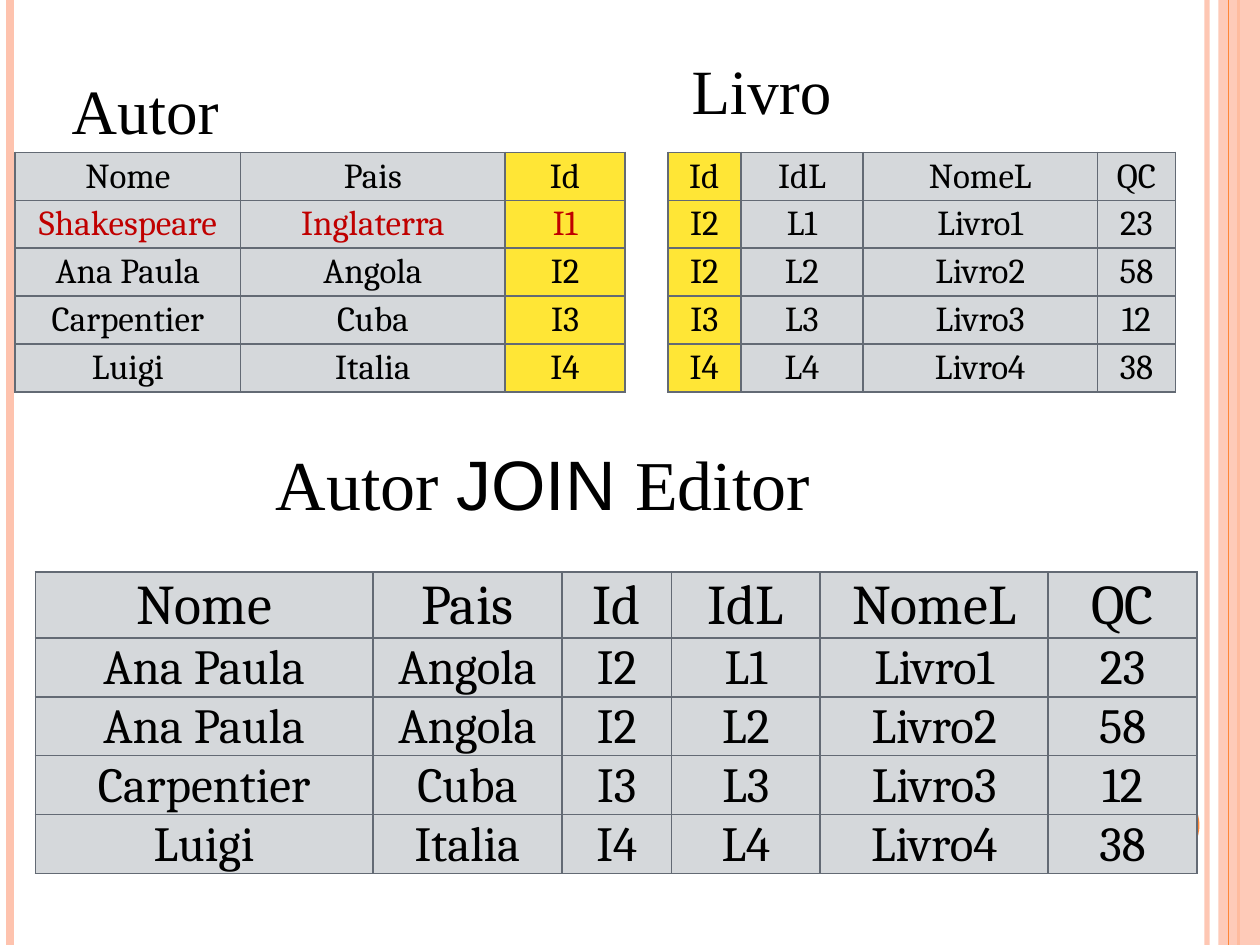
import lxml.etree
import pptx
import pptx.dml.color
import pptx.enum.shapes
import pptx.enum.text
import pptx.oxml.ns
import pptx.util

Inches = pptx.util.Inches
Pt = pptx.util.Pt
qn = pptx.oxml.ns.qn

COLORS = {
    "black": "000000",
    "red": "C00000",
    "gray": "D5D8DB",
    "yellow": "FFE636",
    "border": "636A74",
    "peach": "FEC3AE",
    "orange": "FE8637",
}

AUTHORS = [
    ("Nome", "Pais", "Id"),
    ("Shakespeare", "Inglaterra", "I1"),
    ("Ana Paula", "Angola", "I2"),
    ("Carpentier", "Cuba", "I3"),
    ("Luigi", "Italia", "I4"),
]
BOOKS = [
    ("Id", "IdL", "NomeL", "QC"),
    ("I2", "L1", "Livro1", "23"),
    ("I2", "L2", "Livro2", "58"),
    ("I3", "L3", "Livro3", "12"),
    ("I4", "L4", "Livro4", "38"),
]
JOINED = [AUTHORS[0] + BOOKS[0][1:]] + [
    author + book[1:] for book in BOOKS[1:] for author in AUTHORS[1:] if author[2] == book[0]
]


def color(name):
    return pptx.dml.color.RGBColor.from_string(COLORS[name])


def add_text(paragraph, text, size=20, font="Cambria", color_name="black"):
    run = paragraph.add_run()
    run.text = text
    run.font.size = Pt(size)
    run.font.name = font
    run.font.color.rgb = color(color_name)


def set_alpha(element, percent):
    """Make the solid colour inside the element partly transparent."""
    value = element.find(".//" + qn("a:srgbClr"))
    lxml.etree.SubElement(value, qn("a:alpha"), val=str(percent * 1000))


def add_borders(cell, width=1):
    properties = cell._tc.get_or_add_tcPr()
    for index, side in enumerate(("lnL", "lnR", "lnT", "lnB")):
        line = lxml.etree.Element(qn("a:" + side), w=str(Pt(width)))
        fill = lxml.etree.SubElement(line, qn("a:solidFill"))
        lxml.etree.SubElement(fill, qn("a:srgbClr"), val=COLORS["border"])
        properties.insert(index, line)


class SlideBuilder:
    heading_font = "Times New Roman"

    def __init__(self, slide):
        self.slide = slide

    def vertical_line(self, x, color_name, width, alpha=None):
        line = self.slide.shapes.add_connector(
            pptx.enum.shapes.MSO_CONNECTOR.STRAIGHT, Inches(x), 0, Inches(x), Inches(7.5))
        line.line.color.rgb = color(color_name)
        line.line.width = Pt(width)
        properties = line._element.spPr
        lxml.etree.SubElement(properties, qn("a:effectLst"))
        if alpha:
            set_alpha(properties, alpha)

    def shape(self, kind, left, top, width, height, color_name, alpha=None):
        shape = self.slide.shapes.add_shape(
            kind, Inches(left), Inches(top), Inches(width), Inches(height))
        shape.shadow.inherit = False
        shape.fill.solid()
        shape.fill.fore_color.rgb = color(color_name)
        shape.line.fill.background()
        if alpha:
            set_alpha(shape._element.spPr, alpha)

    def heading(self, left, top, width, height, parts, size):
        """Add a text box from (text, font) parts."""
        box = self.slide.shapes.add_textbox(
            Inches(left), Inches(top), Inches(width), Inches(height))
        frame = box.text_frame
        frame.word_wrap = True
        frame.auto_size = pptx.enum.text.MSO_AUTO_SIZE.SHAPE_TO_FIT_TEXT
        for text, font in parts:
            add_text(frame.paragraphs[0], text, size=size, font=font)

    def table(self, left, top, widths, heights, rows, sizes, key_column=None, red_row=None):
        """Add a table; sizes are the font sizes of the header and the body."""
        table = self.slide.shapes.add_table(
            len(rows), len(widths), Inches(left), Inches(top),
            Inches(sum(widths)), Inches(sum(heights))).table
        for column, width in zip(table.columns, widths):
            column.width = Inches(width)
        for row, height in zip(table.rows, heights):
            row.height = Inches(height)
        for row_index, values in enumerate(rows):
            for column_index, value in enumerate(values):
                cell = table.cell(row_index, column_index)
                cell.margin_left = cell.margin_right = Inches(0.05)
                cell.margin_top = Inches(0.06)
                cell.margin_bottom = 0
                cell.fill.solid()
                cell.fill.fore_color.rgb = color(
                    "yellow" if column_index == key_column else "gray")
                add_borders(cell)
                paragraph = cell.text_frame.paragraphs[0]
                paragraph.alignment = pptx.enum.text.PP_ALIGN.CENTER
                paragraph.line_spacing = 0.87
                add_text(paragraph, value, size=sizes[min(row_index, 1)],
                         color_name="red" if row_index == red_row else "black")


def main():
    presentation = pptx.Presentation()
    presentation.slide_width = Inches(10)
    presentation.slide_height = Inches(7.5)
    builder = SlideBuilder(presentation.slides.add_slide(presentation.slide_layouts[6]))
    shapes = pptx.enum.shapes.MSO_SHAPE
    serif = builder.heading_font

    builder.vertical_line(9.58, "peach", 3, alpha=93)
    builder.vertical_line(0.08, "peach", 4.5)
    builder.vertical_line(9.83, "orange", 1.5)
    builder.shape(shapes.RECTANGLE, 9.67, 0, 0.33, 7.5, "peach", alpha=87)
    builder.vertical_line(9.75, "orange", 0.75)
    builder.shape(shapes.OVAL, 8.92, 6.25, 0.6, 0.6, "orange")

    builder.table(0.12, 1.21, [1.79, 2.1, 0.95], [0.38] * 5, AUTHORS, (20, 20),
                  key_column=2, red_row=1)
    builder.table(5.3, 1.21, [0.58, 0.97, 1.86, 0.62], [0.38] * 5, BOOKS, (20, 20),
                  key_column=0)
    builder.heading(0.47, 0.52, 1.85, 0.71, [("Autor", serif)], 36)
    builder.heading(5.39, 0.36, 1.89, 0.71, [("Livro", serif)], 36)
    builder.table(0.28, 4.54, [2.68, 1.5, 0.87, 1.18, 1.81, 1.18], [0.52] + [0.46] * 4,
                  JOINED, (32, 28))
    builder.heading(2.09, 3.45, 5.75, 0.78,
                    [("Autor ", serif), ("JOIN ", "Arial"), ("Editor", serif)], 40)

    presentation.save("out.pptx")


if __name__ == "__main__":
    main()
